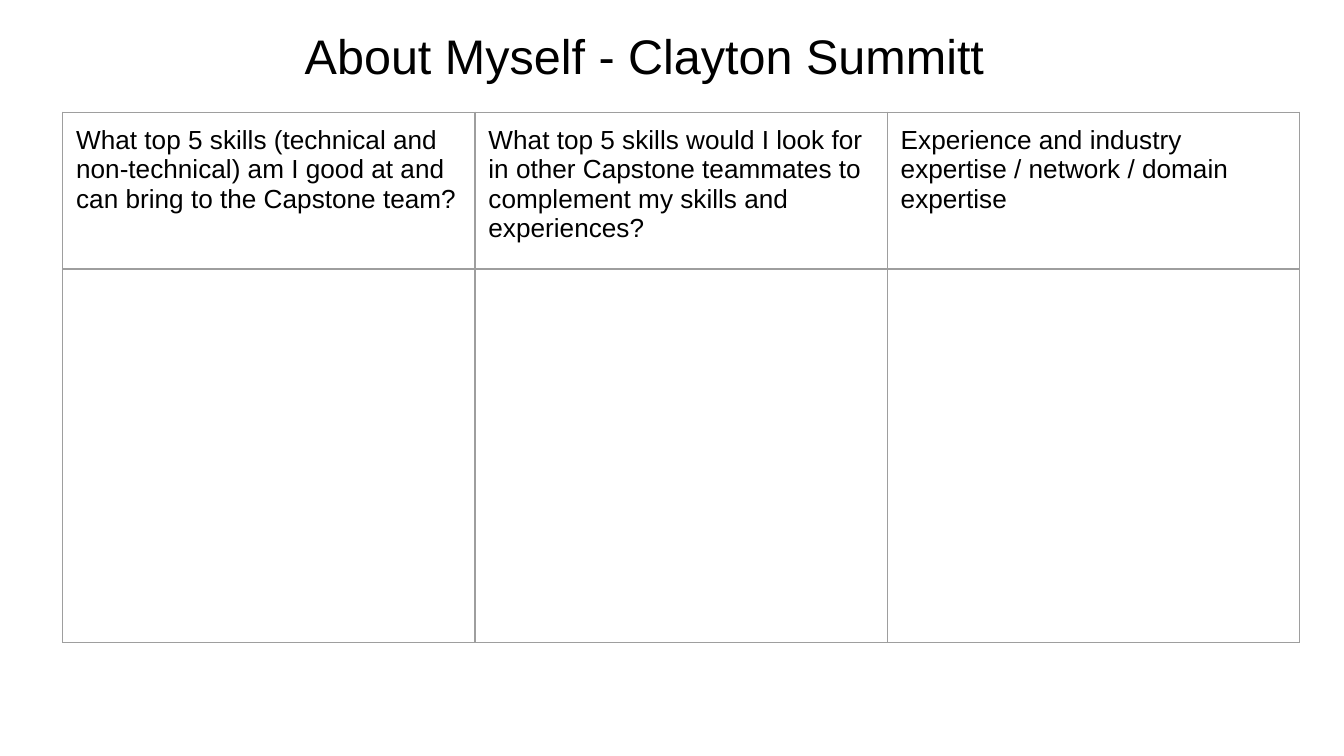
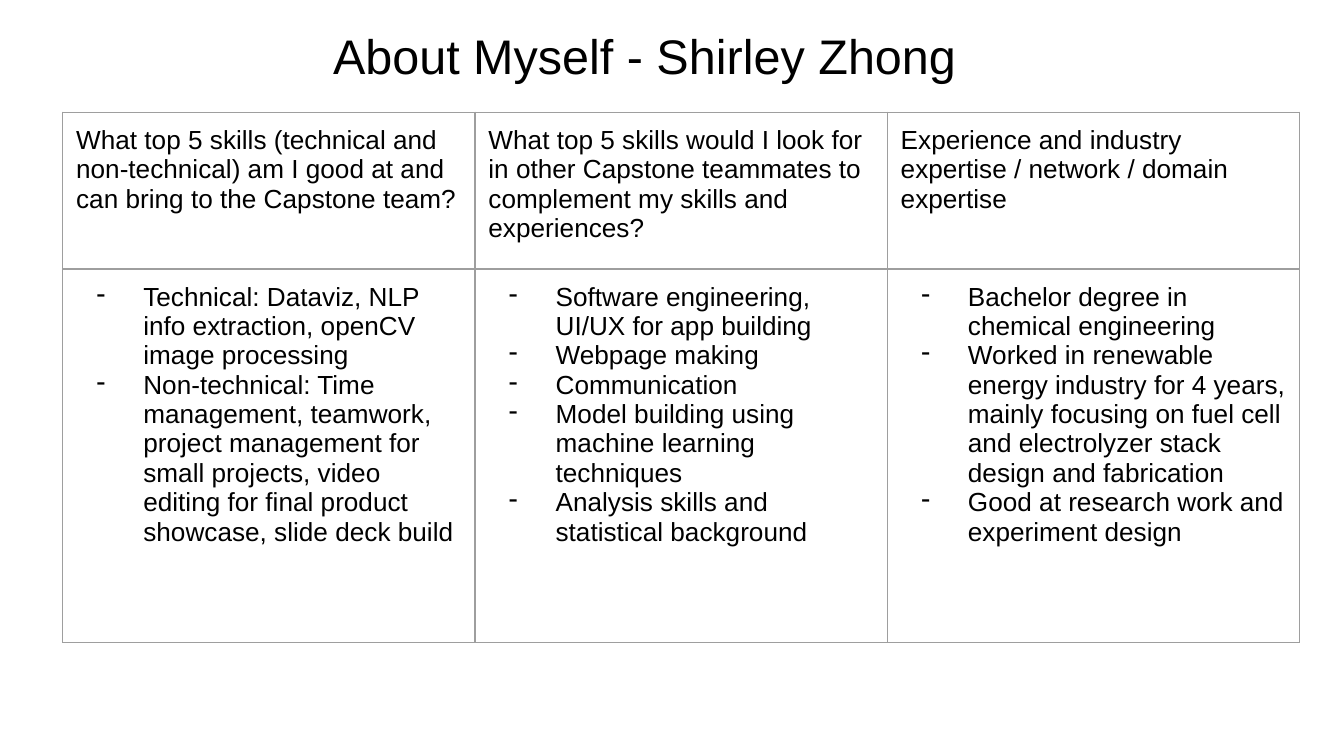
from lxml.etree import SubElement
from pptx import Presentation
from pptx.dml.color import RGBColor
from pptx.enum.text import MSO_ANCHOR as Anchor, PP_ALIGN as Align
from pptx.oxml import parse_xml
from pptx.oxml.ns import nsdecls, qn
from pptx.util import Pt

# Shared style
FONT = "Arial"
INK = "000000"
BORDER = "9E9E9E"
TITLE_SIZE, BODY_SIZE = 26, 14
INSET = 7.2
COL_WIDTH = 220.9
ROW_HEIGHTS = (84, 200.3)

QUESTIONS = [
    "What top 5 skills (technical and non-technical) am I good at and "
    "can bring to the Capstone team?",
    "What top 5 skills would I look for in other Capstone teammates to "
    "complement my skills and experiences?",
    "Experience and industry expertise / network / domain expertise",
]

# One entry per person: bullet lists for the three questions
PROFILES = {
    "Clayton Summitt": [[], [], []],
    "Shirley Zhong": [
        [
            "Technical: Dataviz, NLP info extraction, openCV image processing",
            "Non-technical: Time management, teamwork, project management for "
            "small projects, video editing for final product showcase, "
            "slide deck build",
        ],
        [
            "Software engineering, UI/UX for app building",
            "Webpage making",
            "Communication",
            "Model building using machine learning techniques",
            "Analysis skills and statistical background",
        ],
        [
            "Bachelor degree in chemical engineering",
            "Worked in renewable energy industry for 4 years, mainly focusing "
            "on fuel cell and electrolyzer stack design and fabrication",
            "Good at research work and experiment design",
        ],
    ],
}


def color(value):
    return RGBColor.from_string(value)


def add_run(p, text, size):
    r = p.add_run()
    r.text = text
    r.font.name = FONT
    r.font.size = Pt(size)
    r.font.color.rgb = color(INK)


def set_insets(box):
    box.margin_left = box.margin_right = Pt(INSET)
    box.margin_top = box.margin_bottom = Pt(INSET)


def add_dash(p):
    """Give the paragraph a hanging dash bullet."""
    pPr = p._p.get_or_add_pPr()
    pPr.set("marL", str(Pt(36)))
    pPr.set("indent", str(Pt(-25)))
    bullet_color = SubElement(pPr, qn("a:buClr"))
    SubElement(bullet_color, qn("a:srgbClr"), val=INK)
    SubElement(pPr, qn("a:buChar"), char="-")


def add_title(s, text):
    sp = s.shapes.add_textbox(Pt(56.9), Pt(6.5), Pt(577.4), Pt(44.6))
    tf = sp.text_frame
    tf.word_wrap = True
    set_insets(tf)
    p = tf.paragraphs[0]
    p.alignment = Align.CENTER
    add_run(p, text, TITLE_SIZE)


def style_cell(cell):
    """Clear the fill and draw a thin border on all four sides."""
    set_insets(cell)
    cell.vertical_anchor = Anchor.TOP
    cell.fill.background()
    tcPr = cell._tc.get_or_add_tcPr()
    for i, side in enumerate(("lnL", "lnR", "lnT", "lnB")):
        tcPr.insert(i, parse_xml(
            f'<a:{side} {nsdecls("a")} w="{Pt(0.75)}"><a:solidFill>'
            f'<a:srgbClr val="{BORDER}"/></a:solidFill></a:{side}>'))


def fill_cell(cell, texts, dashed=False):
    style_cell(cell)
    tf = cell.text_frame
    for i, text in enumerate(texts):
        p = tf.add_paragraph() if i else tf.paragraphs[0]
        if dashed:
            add_dash(p)
        add_run(p, text, BODY_SIZE)


def add_skills_table(s, answers):
    cols = len(QUESTIONS)
    table = s.shapes.add_table(
        len(ROW_HEIGHTS), cols, Pt(33.6), Pt(60.1),
        Pt(COL_WIDTH * cols), Pt(sum(ROW_HEIGHTS))).table
    table.first_row = table.horz_banding = False
    for row, height in zip(table.rows, ROW_HEIGHTS):
        row.height = Pt(height)
    for i, (question, bullets) in enumerate(zip(QUESTIONS, answers)):
        table.columns[i].width = Pt(COL_WIDTH)
        fill_cell(table.cell(0, i), [question])
        fill_cell(table.cell(1, i), bullets, dashed=True)


def main():
    prs = Presentation()
    prs.slide_width, prs.slide_height = Pt(720), Pt(405)
    for name, answers in PROFILES.items():
        s = prs.slides.add_slide(prs.slide_layouts[6])
        add_title(s, f"About Myself - {name}")
        add_skills_table(s, answers)
    prs.save("out.pptx")


if __name__ == "__main__":
    main()
